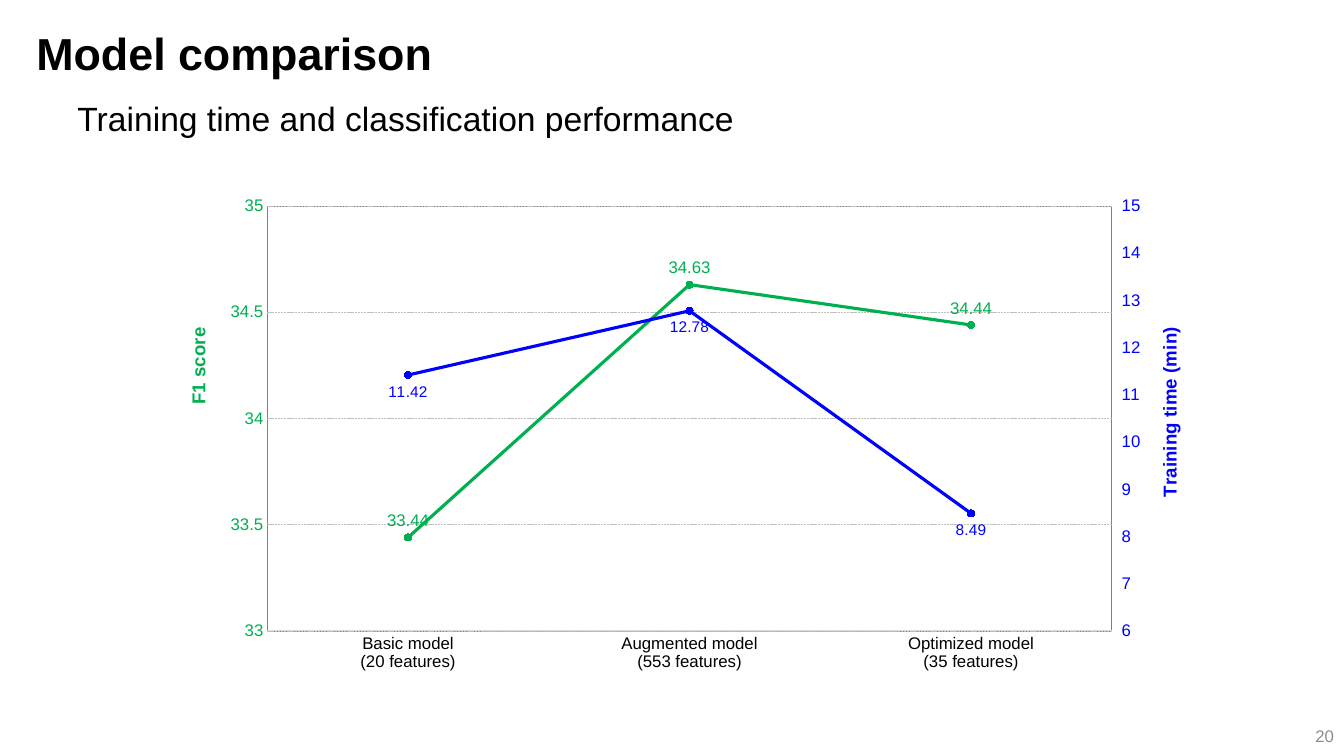
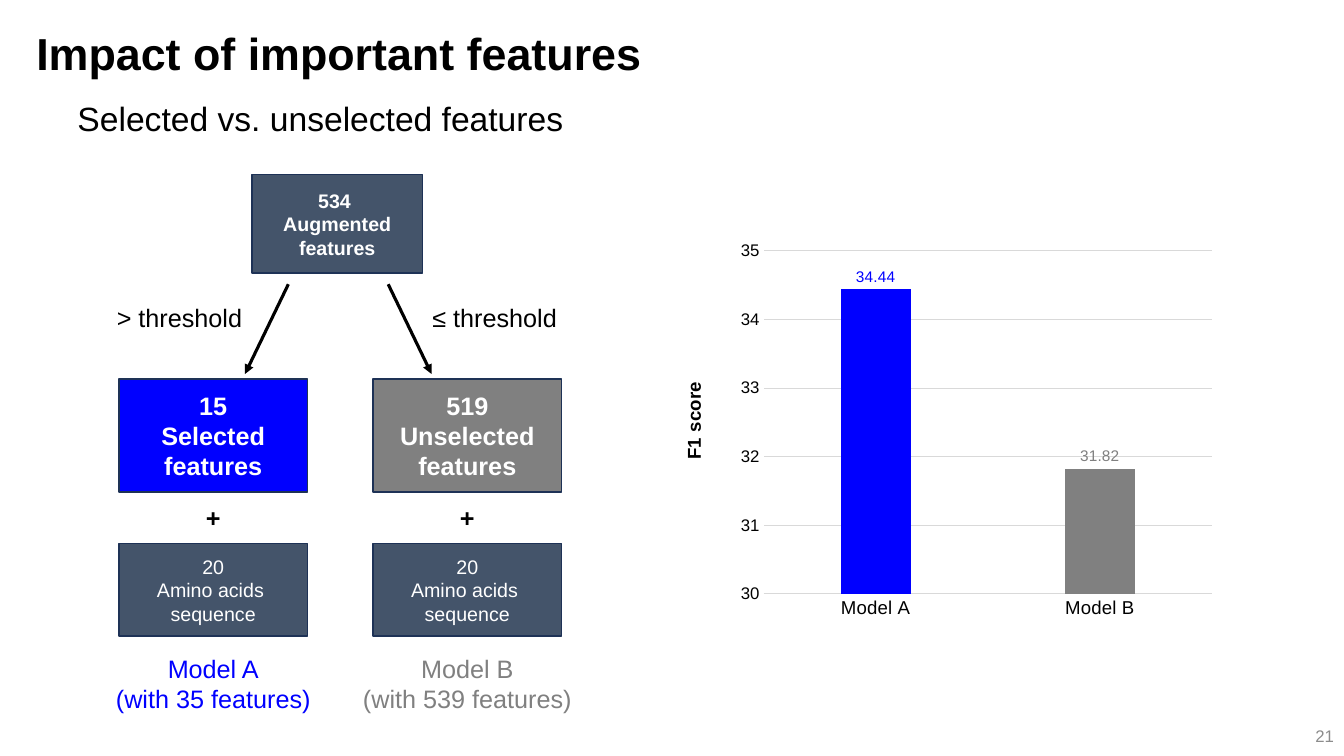
import copy
import lxml.etree
import pptx
import pptx.chart.axis
import pptx.chart.data
import pptx.dml.color
import pptx.enum.chart
import pptx.enum.dml
import pptx.enum.shapes
import pptx.enum.text
import pptx.oxml.ns
import pptx.util

Inches = pptx.util.Inches
Pt = pptx.util.Pt
qn = pptx.oxml.ns.qn
ALIGN = pptx.enum.text.PP_ALIGN
ANCHOR = pptx.enum.text.MSO_ANCHOR
TICK = pptx.enum.chart.XL_TICK_MARK
LABEL = pptx.enum.chart.XL_LABEL_POSITION
CHART = pptx.enum.chart.XL_CHART_TYPE

COLORS = {
    "black": "000000",
    "white": "FFFFFF",
    "number": "8C8C8C",
    "slate": "44546A",
    "outline": "1E3256",
    "blue": "0000FF",
    "green": "00B050",
    "gray": "808080",
    "grid": "D9D9D9",
    "dashes": "BFBFBF",
}
RGB = {name: pptx.dml.color.RGBColor.from_string(value) for name, value in COLORS.items()}


def apply_font(font, size, color, bold=False):
    values = {"name": "Arial", "size": Pt(size), "bold": bold}
    for name, value in values.items():
        setattr(font, name, value)
    font.color.rgb = RGB[color]


def write_lines(shape, lines, size, color, bold=False, alignment=ALIGN.CENTER, anchor=ANCHOR.TOP):
    frame = shape.text_frame
    frame.text = "\n".join(lines)
    for name, value in {"word_wrap": True, "vertical_anchor": anchor}.items():
        setattr(frame, name, value)
    for paragraph in frame.paragraphs:
        paragraph.alignment = alignment
        apply_font(paragraph.runs[0].font, size, color, bold)


presentation = pptx.Presentation()
presentation.slide_width = Inches(13.33)
presentation.slide_height = Inches(7.5)

slides = []
for number, title, subtitle in [
    (20, "Model comparison", "Training time and classification performance"),
    (21, "Impact of important features", "Selected vs. unselected features"),
]:
    slide = presentation.slides.add_slide(presentation.slide_layouts[5])
    slides.append(slide)
    heading = slide.shapes.title
    bounds = {"left": 0.26, "top": 0.16, "width": 11.29, "height": 0.72}
    for name, value in bounds.items():
        setattr(heading, name, Inches(value))
    write_lines(heading, [title], 32, "black", True, ALIGN.LEFT, ANCHOR.MIDDLE)
    box = slide.shapes.add_textbox(Inches(0.67), Inches(0.92), Inches(11.29), Inches(0.65))
    write_lines(box, [subtitle], 24, "black", alignment=ALIGN.LEFT)
    box = slide.shapes.add_textbox(Inches(10.33), Inches(7.1), Inches(3), Inches(0.4))
    write_lines(box, [str(number)], 12, "number", alignment=ALIGN.RIGHT, anchor=ANCHOR.MIDDLE)
comparison_slide, impact_slide = slides

line_data = pptx.chart.data.CategoryChartData()
line_data.categories = [
    "Basic model\n(20 features)",
    "Augmented model\n(553 features)",
    "Optimized model\n(35 features)",
]
line_data.add_series("F1 score", [33.44, 34.63, 34.44])
line_data.add_series("Training time (min)", [11.42, 12.78, 8.49])
line_chart = comparison_slide.shapes.add_chart(
    CHART.LINE_MARKERS, Inches(1.5), Inches(1.79), Inches(10.47), Inches(5.08), line_data
).chart

bar_data = pptx.chart.data.CategoryChartData()
bar_data.categories = ["Model A", "Model B"]
bar_data.add_series("F1 score", [34.44, 31.82])

column_left, column_pitch, column_width = 1.18, 2.52, 1.87
boxes = [(2.5, 1.73, 1.69, 0.98, "slate", ["534 ", "Augmented", "features"], 14, True)]
labels = [
    (1.02, 2.95, 1.48, 0.4, ["> threshold"], "black", False, ALIGN.RIGHT),
    (4.19, 2.95, 1.7, 0.4, ["≤ threshold"], "black", False, ALIGN.LEFT),
]
for index, (color, count, kind, caption) in enumerate([
    ("blue", "15", "Selected", ["Model A", "(with 35 features)"]),
    ("gray", "519", "Unselected", ["Model B", "(with 539 features)"]),
]):
    left = column_left + index * column_pitch
    boxes += [
        (left, 3.76, column_width, 1.12, color, [count, kind, "features"], 18, True),
        (left, 5.39, column_width, 0.92, "slate", ["20", "Amino acids ", "sequence"], 14, False),
    ]
    labels += [
        (left + 0.7, 4.93, 0.47, 0.4, ["+"], "black", True, ALIGN.CENTER),
        (left - 0.31, 6.43, 2.49, 0.71, caption, color, False, ALIGN.CENTER),
    ]

for left, top, width, height, color, lines, size, bold in boxes:
    shape = impact_slide.shapes.add_shape(
        pptx.enum.shapes.MSO_SHAPE.RECTANGLE,
        Inches(left), Inches(top), Inches(width), Inches(height),
    )
    shape.shadow.inherit = False
    shape.fill.solid()
    shape.fill.fore_color.rgb = RGB[color]
    shape.line.color.rgb = RGB["outline"]
    shape.line.width = Pt(1)
    write_lines(shape, lines, size, "white", bold, anchor=ANCHOR.MIDDLE)

for start, end in [(3.85, 4.28), (2.86, 2.43)]:
    arrow = impact_slide.shapes.add_connector(
        pptx.enum.shapes.MSO_CONNECTOR.STRAIGHT,
        Inches(start), Inches(2.82), Inches(end), Inches(3.71),
    )
    arrow.line.color.rgb = RGB["black"]
    arrow.line.width = Pt(2.25)
    outline = arrow.element.find(".//" + qn("a:ln"))
    lxml.etree.SubElement(outline, qn("a:tailEnd")).set("type", "triangle")
    lxml.etree.SubElement(arrow.element.spPr, qn("a:effectLst"))

bar_chart = impact_slide.shapes.add_chart(
    CHART.COLUMN_CLUSTERED, Inches(6.56), Inches(2.33), Inches(5.63), Inches(3.96), bar_data
).chart

for left, top, width, height, lines, color, bold, alignment in labels:
    box = impact_slide.shapes.add_textbox(Inches(left), Inches(top), Inches(width), Inches(height))
    write_lines(box, lines, 18, color, bold, alignment)

line_area = line_chart.element.find(".//" + qn("c:plotArea"))
f1_plot = line_area.find(qn("c:lineChart"))
time_plot = copy.deepcopy(f1_plot)
f1_plot.remove(f1_plot.findall(qn("c:ser"))[1])
time_plot.remove(time_plot.find(qn("c:ser")))
f1_plot.addnext(time_plot)
left_element = line_area.find(qn("c:valAx"))
right_element = copy.deepcopy(left_element)
hidden_element = copy.deepcopy(line_area.find(qn("c:catAx")))
left_element.addnext(right_element)
right_element.addnext(hidden_element)
right_ids = {
    axis_id.get("val"): str(5001 + index)
    for index, axis_id in enumerate(f1_plot.findall(qn("c:axId")))
}
for element in [time_plot, right_element, hidden_element]:
    for tag in ["c:axId", "c:crossAx"]:
        for reference in element.findall(qn(tag)):
            reference.set("val", right_ids[reference.get("val")])
right_element.find(qn("c:axPos")).set("val", "r")
for crossing in right_element.findall(qn("c:crosses")):
    right_element.remove(crossing)
crossing = lxml.etree.Element(qn("c:crosses"), val="max")
right_element.find(qn("c:crossAx")).addnext(crossing)
left_axis = pptx.chart.axis.ValueAxis(left_element)
right_axis = pptx.chart.axis.ValueAxis(right_element)
right_axis.tick_label_position = pptx.enum.chart.XL_TICK_LABEL_POSITION.HIGH
pptx.chart.axis.CategoryAxis(hidden_element).visible = False

frame_properties = lxml.etree.SubElement(line_area, qn("c:spPr"))
frame_line = lxml.etree.SubElement(frame_properties, qn("a:ln"), w=str(Pt(0.5)))
frame_fill = lxml.etree.SubElement(frame_line, qn("a:solidFill"))
lxml.etree.SubElement(frame_fill, qn("a:srgbClr")).set("val", COLORS["gray"])

layouts = []
for chart, category_size, plot_bounds in [
    (line_chart, 12, {"x": 0.11, "y": 0.05, "w": 0.8, "h": 0.83}),
    (bar_chart, 13.3, {"x": 0.18, "y": 0.04, "w": 0.79, "h": 0.86}),
]:
    chart.has_legend = False
    chart.has_title = False
    apply_font(chart.font, 10, "black")
    for plot in chart.plots:
        plot.vary_by_categories = False
    axis = chart.category_axis
    axis.major_tick_mark = TICK.NONE
    axis.format.line.color.rgb = RGB["grid"]
    axis.format.line.width = Pt(0.75)
    apply_font(axis.tick_labels.font, category_size, "black")
    layouts.append((chart.element.find(".//" + qn("c:plotArea")), 0, plot_bounds))

bar_axis = bar_chart.value_axis
for axis, title, color, scale, tick, has_grid, x, y in [
    (left_axis, "F1 score", "green", (33, 35, 0.5), TICK.NONE, True, 0.03, 0.28),
    (right_axis, "Training time (min)", "blue", (6, 15, 1), TICK.OUTSIDE, False, 0.95, 0.28),
    (bar_axis, "F1 score", "black", (30, 35, 1), TICK.NONE, True, 0.03, 0.36),
]:
    minimum, maximum, major = scale
    values = {
        "minimum_scale": minimum,
        "maximum_scale": maximum,
        "major_unit": major,
        "major_tick_mark": tick,
        "has_major_gridlines": has_grid,
    }
    for name, value in values.items():
        setattr(axis, name, value)
    axis.format.line.fill.background()
    apply_font(axis.tick_labels.font, 12, color)
    axis_title = axis.axis_title
    axis_title.text_frame.text = title
    apply_font(axis_title.text_frame.paragraphs[0].runs[0].font, 13.3, color, True)
    axis_title.element.find(".//" + qn("a:bodyPr")).set("rot", "-5400000")
    layouts.append((axis_title.element, 1, {"x": x, "y": y}))

for axis, color, width in [(left_axis, "dashes", 0.5), (bar_axis, "grid", 0.75)]:
    grid_line = axis.major_gridlines.format.line
    grid_line.color.rgb = RGB[color]
    grid_line.width = Pt(width)
left_axis.major_gridlines.format.line.dash_style = pptx.enum.dml.MSO_LINE.SQUARE_DOT

for parent, position, fractions in layouts:
    for existing in parent.findall(qn("c:layout")):
        parent.remove(existing)
    layout = lxml.etree.Element(qn("c:layout"))
    manual = lxml.etree.SubElement(layout, qn("c:manualLayout"))
    if "w" in fractions:
        lxml.etree.SubElement(manual, qn("c:layoutTarget")).set("val", "inner")
    for name in ["x", "y"]:
        lxml.etree.SubElement(manual, qn(f"c:{name}Mode")).set("val", "edge")
    for name, value in fractions.items():
        lxml.etree.SubElement(manual, qn(f"c:{name}")).set("val", str(value))
    parent.insert(position, layout)

f1_series, time_series = [plot.series[0] for plot in line_chart.plots]
bar_plot = bar_chart.plots[0]
bar_series = bar_plot.series[0]
for series, color, size, position in [
    (f1_series, "green", 12, LABEL.ABOVE),
    (time_series, "blue", 11, LABEL.BELOW),
    (bar_series, "blue", 11, LABEL.OUTSIDE_END),
]:
    series.data_labels.show_value = True
    series.data_labels.position = position
    apply_font(series.data_labels.font, size, color)

for series, color in [(f1_series, "green"), (time_series, "blue")]:
    series.smooth = False
    series.format.line.color.rgb = RGB[color]
    series.format.line.width = Pt(2.25)
    series.marker.style = pptx.enum.chart.XL_MARKER_STYLE.CIRCLE
    series.marker.size = 5
    series.marker.format.fill.solid()
    series.marker.format.fill.fore_color.rgb = RGB[color]
    series.marker.format.line.color.rgb = RGB[color]

bar_plot.gap_width = 219
bar_plot.overlap = -27
model_b = bar_series.points[1]
for bar, color in [(bar_series, "blue"), (model_b, "gray")]:
    bar.format.fill.solid()
    bar.format.fill.fore_color.rgb = RGB[color]
apply_font(model_b.data_label.font, 11, "gray")
model_b.data_label.position = LABEL.OUTSIDE_END

presentation.save("out.pptx")
